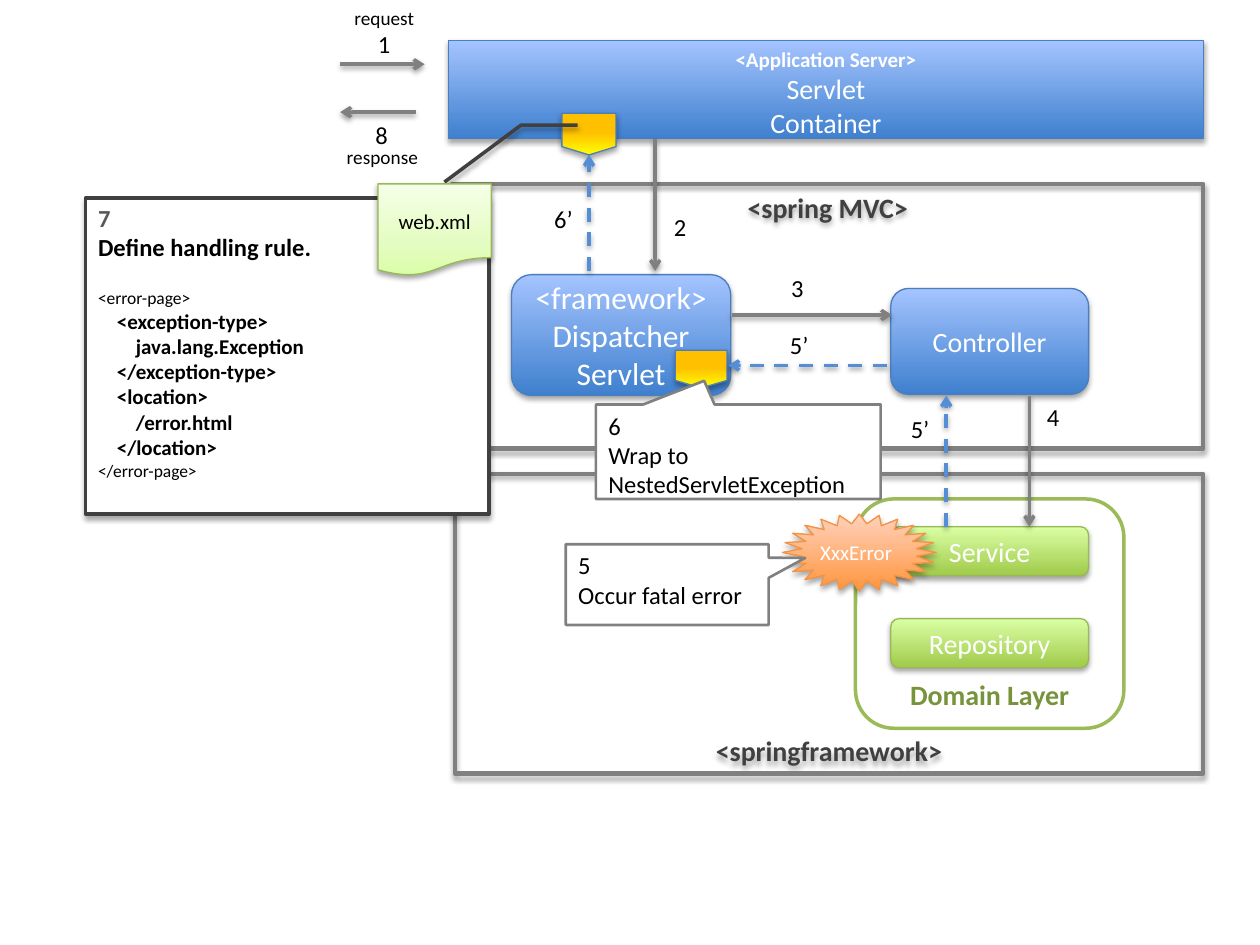
from dataclasses import dataclass

from lxml.etree import SubElement
from pptx import Presentation
from pptx.dml.color import RGBColor
from pptx.enum.dml import MSO_LINE
from pptx.enum.shapes import MSO_CONNECTOR, MSO_SHAPE as Preset
from pptx.enum.text import MSO_ANCHOR as Anchor, PP_ALIGN as Align
from pptx.oxml.ns import qn
from pptx.util import Inches, Pt

COLUMNS, ROWS = 100, 75  # grid of the slide, cells of a tenth of an inch


class Theme:
    font = "Calibri"
    tiny, small, note, body, title, large = 10, 11, 12, 14, 16, 18
    white, black = "FFFFFF", "000000"
    gray, dark, number = "808080", "404040", "595959"
    dash = "558ED5"
    domain, domain_text = "9BBB59", "77933C"
    blue_line, green_line, orange_line = "4B7EBC", "98B955", "F69240"
    # Gradients run from the bottom to the top
    blue = [(0, "3F80CE"), (100, "A4C4FF")]
    green = [(0, "A0CA4A"), (100, "DAFFA5")]
    paper = [(0, "DAFDA7"), (35, "E4FCC2"), (100, "F5FFE7")]
    yellow = [(0, "FFFF00"), (54, "FFC000"), (100, "FFC000")]
    orange = [(0, "FF953E"), (100, "FFD2BD")]


@dataclass
class Box:
    left: float
    top: float
    width: float
    height: float

    def area(self, left, top, width, height):
        return Box(self.left + left, self.top + top, width, height)

    def inches(self):
        return [Inches(cells / 10) for cells in (self.left, self.top, self.width, self.height)]


def write(shape, lines, size=Theme.body, color=Theme.black, bold=False,
          align=Align.LEFT, anchor=Anchor.TOP):
    """Write lines; each is a string or a (string, changes) pair."""
    frame = shape.text_frame
    frame.word_wrap, frame.vertical_anchor = True, anchor
    for index, line in enumerate([lines] if isinstance(lines, str) else lines):
        text, changes = (line, {}) if isinstance(line, str) else line
        paragraph = frame.paragraphs[0] if index == 0 else frame.add_paragraph()
        paragraph.alignment = align
        paragraph.space_before = Pt(changes.get("before", 0))
        indent = Inches(changes.get("indent", 0))
        paragraph._p.get_or_add_pPr().set("marL", str(indent))
        run = paragraph.add_run()
        run.text = text
        run.font.name = Theme.font
        run.font.size = Pt(changes.get("size", size))
        run.font.bold = changes.get("bold", bold)
        run.font.color.rgb = RGBColor.from_string(changes.get("color", color))


def add_shadow(effects, opacity, distance):
    shadow = SubElement(effects, qn("a:outerShdw"), blurRad=str(Pt(3.1)),
                        dist=str(Pt(distance)), dir="5400000", rotWithShape="0")
    color = SubElement(shadow, qn("a:srgbClr"), val=Theme.black)
    SubElement(color, qn("a:alpha"), val=str(opacity * 1000))


def add_gradient(shape, stops):
    shape.fill.gradient()
    shape.fill.gradient_angle = 90
    stop_list = shape._element.spPr.find(qn("a:gradFill")).find(qn("a:gsLst"))
    for stop in list(stop_list):
        stop_list.remove(stop)
    for position, color in stops:
        stop = SubElement(stop_list, qn("a:gs"), pos=str(position * 1000))
        SubElement(stop, qn("a:srgbClr"), val=color)


def add_block(slide, preset, box, fill, line, weight=0.75, shadow=True, adjust=()):
    shape = slide.shapes.add_shape(preset, *box.inches())
    if fill is None:
        shape.fill.background()
    elif isinstance(fill, str):
        shape.fill.solid()
        shape.fill.fore_color.rgb = RGBColor.from_string(fill)
    else:
        add_gradient(shape, fill)
    shape.line.color.rgb = RGBColor.from_string(line)
    shape.line.width = Pt(weight)
    shape.shadow.inherit = False
    if shadow:
        add_shadow(shape._element.spPr.find(qn("a:effectLst")), 35, 1.8)
    for index, value in enumerate(adjust):
        shape.adjustments[index] = value
    return shape


def add_label(slide, box, text, **style):
    write(slide.shapes.add_textbox(*box.inches()), text, **style)


def add_arrow(slide, box, start, end, dashed=False):
    points = (box.left + start[0], box.top + start[1], box.left + end[0], box.top + end[1])
    arrow = slide.shapes.add_connector(MSO_CONNECTOR.STRAIGHT,
                                       *[Inches(cells / 10) for cells in points])
    arrow.line.color.rgb = RGBColor.from_string(Theme.dash if dashed else Theme.gray)
    arrow.line.width = Pt(2)
    if dashed:
        arrow.line.dash_style = MSO_LINE.DASH
    properties = arrow._element.spPr
    SubElement(properties.find(qn("a:ln")), qn("a:tailEnd"), type="arrow")
    add_shadow(SubElement(properties, qn("a:effectLst")), 38, 1.6)
    return arrow


def add_flag(slide, box):
    return add_block(slide, Preset.FLOWCHART_OFFPAGE_CONNECTOR, box, Theme.yellow, Theme.blue_line)


def add_card(slide, box, lines, fill, line, size=Theme.title):
    card = add_block(slide, Preset.ROUNDED_RECTANGLE, box, fill, line)
    write(card, lines, size=size, color=Theme.white, align=Align.CENTER, anchor=Anchor.MIDDLE)


def add_frame(slide, box, title, anchor):
    frame = add_block(slide, Preset.RECTANGLE, box, None, Theme.gray, weight=2.5)
    write(frame, title, size=Theme.title, color=Theme.dark, bold=True,
          align=Align.CENTER, anchor=anchor)


def draw_client(slide, box):
    add_arrow(slide, box, (0.8, 5.1), (7.5, 5.1))
    add_arrow(slide, box, (6.8, 8.9), (0.8, 8.9))
    for left, top, width, text in ((0.5, 0, 7.6, "request"), (0, 11, 8.3, "response")):
        add_label(slide, box.area(left, top, width, 2.9), text,
                  size=Theme.small, align=Align.CENTER)


def draw_server(slide, box):
    server = add_block(slide, Preset.RECTANGLE, box, Theme.blue, Theme.blue_line)
    write(server, [("<Application Server>", {"size": Theme.note, "bold": True}),
                   "Servlet", "Container"],
          size=Theme.title, color=Theme.white, align=Align.CENTER)
    return add_flag(slide, box.area(9, 5.8, 4.3, 3.3))


def draw_mvc(slide, box):
    add_frame(slide, box, "<spring MVC>", Anchor.TOP)
    add_card(slide, box.area(4.7, 7.2, 17.4, 9.6), ["<framework>", "Dispatcher", "Servlet"],
             Theme.blue, Theme.blue_line, size=Theme.large)
    add_card(slide, box.area(34.8, 8.3, 15.7, 8.4), "Controller", Theme.blue, Theme.blue_line)
    add_flag(slide, box.area(17.7, 13.2, 4.1, 3))


def draw_springframework(slide, box):
    # Domain layer with its two cards
    layer = add_block(slide, Preset.ROUNDED_RECTANGLE, box.area(31.8, 2, 21.3, 18.2),
                      Theme.white, Theme.domain, weight=2, shadow=False)
    write(layer, "Domain Layer", size=Theme.title, color=Theme.domain_text, bold=True,
          align=Align.CENTER, anchor=Anchor.BOTTOM)
    for row, name in enumerate(("Service", "Repository")):
        add_card(slide, box.area(34.6, 4.2 + 7.3 * row, 15.7, 3.9), name,
                 Theme.green, Theme.green_line)
    add_frame(slide, box, "<springframework>", Anchor.BOTTOM)
    # Error burst
    add_block(slide, Preset.STAR_24_POINT, box.area(26, 3.2, 12.2, 6.1),
              Theme.orange, Theme.orange_line)
    add_label(slide, box.area(26.8, 4.6, 10.1, 3.2), "XxxError", size=Theme.note,
              color=Theme.white, align=Align.CENTER, anchor=Anchor.MIDDLE)


def draw_calls(slide, box, server_flag):
    for start, end in (((52, 11), (52, 21.5)), ((58.1, 25), (70.8, 25)),
                       ((81.7, 31.4), (81.7, 41.8))):
        add_arrow(slide, box, start, end)
    for start, end in (((75.1, 41.8), (75.1, 31.4)), ((70.4, 29), (57.8, 29))):
        add_arrow(slide, box, start, end, dashed=True)
    rethrow = add_arrow(slide, box, (46.75, 21.5), (46.75, 12.3), dashed=True)
    rethrow.end_connect(server_flag, 2)
    # Step numbers
    for left, top, step in ((29, 1.8, "1"), (52.5, 16.3, "2"), (61.8, 21.2, "3"),
                            (82.1, 31.4, "4"), (28.8, 9, "8"), (71.3, 32.4, "5’"),
                            (61.7, 25.7, "5’"), (43, 15.7, "6’")):
        add_label(slide, box.area(left, top, 5.2, 3.4), step)


def draw_error_page(slide, box):
    note = add_block(slide, Preset.LINE_CALLOUT_2, box.area(0, 1.1, 32, 25.1), Theme.white,
                     Theme.dark, weight=2, adjust=(-0.05, 0.89, -0.23, 1.08, -0.23, 1.22))
    note.text_frame.margin_top = Inches(0.04)
    plain = {"size": Theme.tiny, "bold": False}
    tags = ((1, "<exception-type>"), (2, "java.lang.Exception"), (1, "</exception-type>"),
            (1, "<location>"), (2, "/error.html"), (1, "</location>"))
    write(note, [("7", {"size": Theme.body, "color": Theme.number}),
                 ("Define handling rule.", {"size": Theme.body}),
                 ("<error-page>", {**plain, "before": 14.6}),
                 *[(tag, {"indent": 0.15 * level}) for level, tag in tags],
                 ("</error-page>", plain)], size=Theme.note, bold=True)
    sheet = add_block(slide, Preset.FLOWCHART_DOCUMENT, box.area(23.2, 0, 9, 7.3),
                      Theme.paper, Theme.green_line)
    write(sheet, "web.xml", size=Theme.note, align=Align.CENTER, anchor=Anchor.MIDDLE)


def draw_callout(slide, box, lines, tip):
    callout = add_block(slide, Preset.RECTANGULAR_CALLOUT, box, Theme.white, Theme.gray,
                        weight=1.5, shadow=False, adjust=tip)
    write(callout, lines)


def main():
    presentation = Presentation()
    presentation.slide_width = Inches(COLUMNS / 10)
    presentation.slide_height = Inches(ROWS / 10)
    slide = presentation.slides.add_slide(presentation.slide_layouts[6])
    draw_client(slide, Box(26.2, 0, 8.3, 13.9))
    server_flag = draw_server(slide, Box(35.6, 3.2, 59.9, 7.8))
    draw_mvc(slide, Box(35.9, 14.6, 59.6, 21))
    draw_springframework(slide, Box(36.1, 37.6, 59.4, 23.8))
    draw_calls(slide, Box(0, 0, COLUMNS, ROWS), server_flag)
    draw_error_page(slide, Box(6.8, 14.6, 32.2, 26.2))
    draw_callout(slide, Box(47.3, 32.1, 22.6, 7.5),
                 ["6", "Wrap to NestedServletException"], (-0.12, -0.75))
    draw_callout(slide, Box(44.9, 43.2, 16.1, 6.4), ["5", "Occur fatal error"], (0.68, -0.33))
    presentation.save("out.pptx")


if __name__ == "__main__":
    main()
